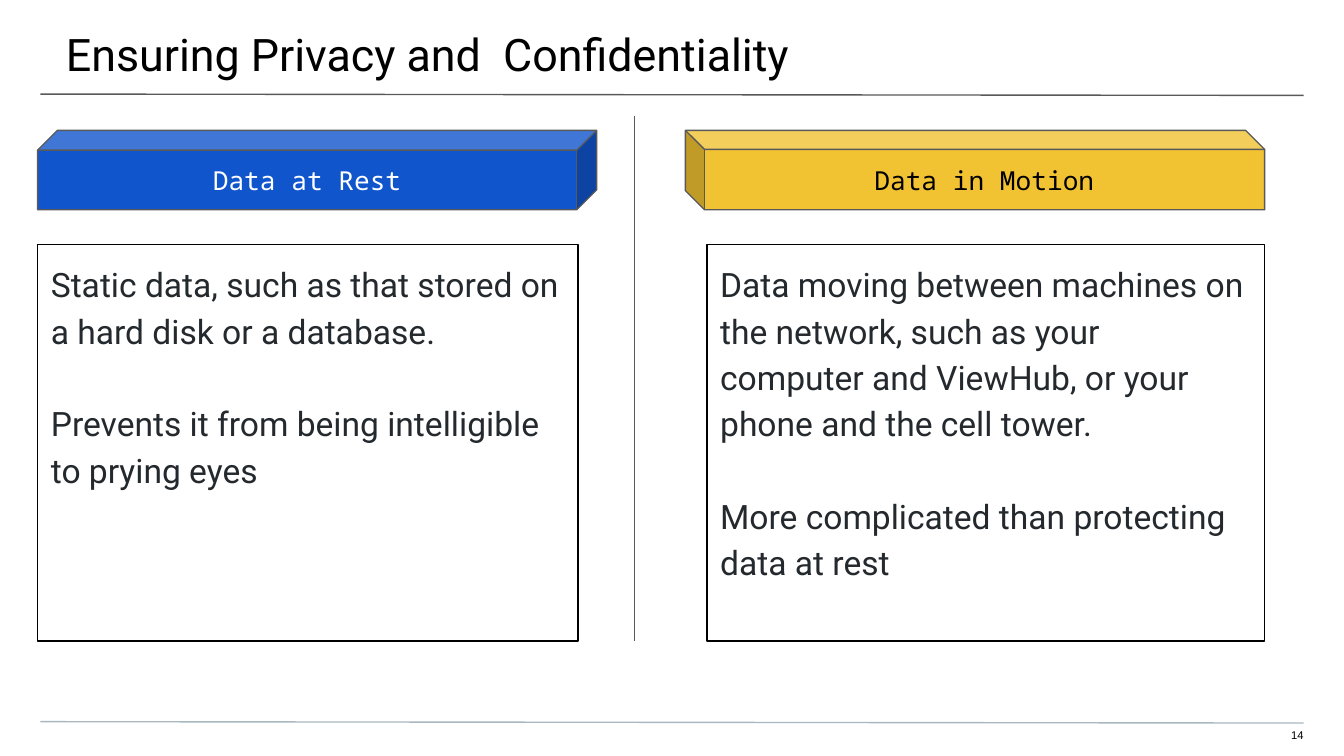
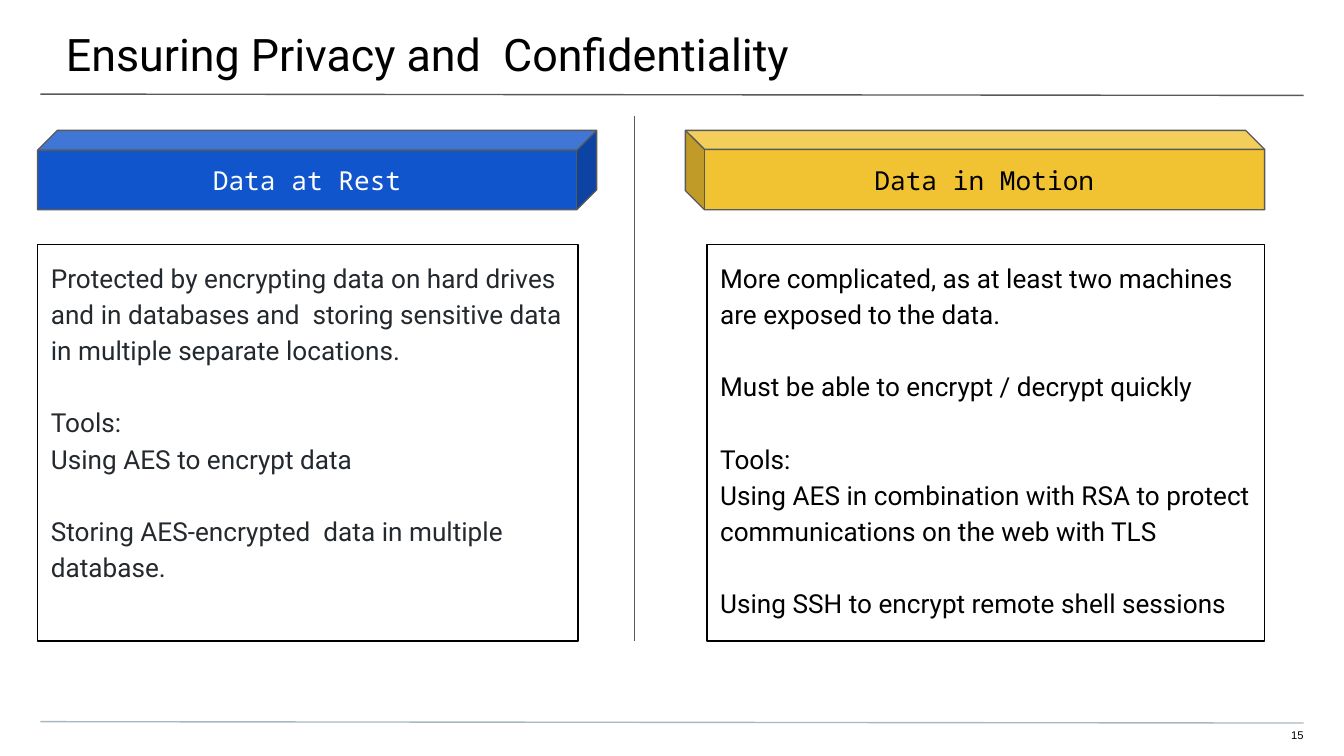
from dataclasses import dataclass

from lxml import etree
from pptx import Presentation
from pptx.dml.color import RGBColor
from pptx.enum.shapes import MSO_CONNECTOR, MSO_SHAPE
from pptx.enum.text import MSO_ANCHOR, MSO_AUTO_SIZE, PP_ALIGN
from pptx.oxml.ns import qn
from pptx.util import Inches, Pt

STRAIGHT = MSO_CONNECTOR.STRAIGHT
CUBE, RECTANGLE = MSO_SHAPE.CUBE, MSO_SHAPE.RECTANGLE
TOP, MIDDLE = MSO_ANCHOR.TOP, MSO_ANCHOR.MIDDLE
LEFT, CENTER, RIGHT = PP_ALIGN.LEFT, PP_ALIGN.CENTER, PP_ALIGN.RIGHT
NO_AUTOFIT = MSO_AUTO_SIZE.NONE

COLORS = {
    "black": "000000",
    "white": "FFFFFF",
    "ink": "24292E",
    "rule": "595959",
    "footer_rule": "A9B7C0",
    "rest": "1155CC",
    "motion": "F1C232",
}
TEXT_FONT, BANNER_FONT, NUMBER_FONT = "Roboto", "Noto Sans Mono", "Arial"
TITLE_ONLY_LAYOUT = 5
RULE_WIDTH = 0.75
LINE_SPACING = 1.15
BLANK_LINE = 1.38
FIRST_NUMBER = 14
TITLE = "Ensuring Privacy and  Confidentiality"
BANNER_TOP, BANNER_HEIGHT = 0.97, 0.59
BODY_TOP, BODY_HEIGHT = 1.82, 2.95


@dataclass
class Column:
    """A heading cube and the box below it, with their places across the slide."""

    heading: str
    fill: str
    text_color: str
    banner: tuple
    body: tuple
    depth: float
    flipped: bool


COLUMNS = [
    Column("Data at Rest", "rest", "white", (0.28, 4.16), (0.28, 4.02), 0.25, False),
    Column("Data in Motion", "motion", "black", (5.1, 4.31), (5.26, 4.15), 0.24, True),
]

# Each column holds a text colour and groups of lines; a gap separates the groups.
SLIDES = [
    (18, [
        ("ink", [
            ["Static data, such as that stored on a hard disk or a database."],
            ["Prevents it from being intelligible to prying eyes"],
        ]),
        ("ink", [
            ["Data moving between machines on the network, such as your computer "
             "and ViewHub, or your phone and the cell tower."],
            ["More complicated than protecting data at rest"],
        ]),
    ]),
    (14, [
        ("ink", [
            ["Protected by encrypting data on hard drives and in databases and  storing "
             "sensitive data in multiple separate locations."],
            ["Tools:", "Using AES to encrypt data"],
            ["Storing AES-encrypted  data in multiple database."],
        ]),
        ("black", [
            ["More complicated, as at least two machines are exposed to the data."],
            ["Must be able to encrypt / decrypt quickly"],
            ["Tools:", "Using AES in combination with RSA to protect communications "
             "on the web with TLS"],
            ["Using SSH to encrypt remote shell sessions"],
        ]),
    ]),
]


def color(name):
    """Return the named colour."""
    return RGBColor.from_string(COLORS[name])


def place(shape, left, top, width, height):
    """Move and size a shape, in inches."""
    shape.left, shape.top = Inches(left), Inches(top)
    shape.width, shape.height = Inches(width), Inches(height)


def prepare_frame(shape, insets, anchor):
    """Set the insets and anchor of a shape's text and return its frame."""
    frame = shape.text_frame
    frame.word_wrap = True
    frame.auto_size = NO_AUTOFIT
    frame.vertical_anchor = anchor
    (frame.margin_left, frame.margin_top,
     frame.margin_right, frame.margin_bottom) = map(Inches, insets)
    return frame


def format_paragraph(paragraph, text, font_name, size, color_name, alignment=LEFT):
    """Write and style one paragraph."""
    paragraph.text = text
    paragraph.alignment = alignment
    paragraph.font.name = font_name
    paragraph.font.size = Pt(size)
    paragraph.font.color.rgb = color(color_name)


def add_rule(slide, start, end, color_name):
    """Draw a thin straight line between two points."""
    rule = slide.shapes.add_connector(STRAIGHT, *map(Inches, start + end))
    rule.line.color.rgb = color(color_name)
    rule.line.width = Pt(RULE_WIDTH)
    etree.SubElement(rule.element.spPr, qn("a:effectLst"))


def add_outlined_shape(slide, kind, box, line_color):
    """Add a preset shape with a thin outline and no shadow."""
    shape = slide.shapes.add_shape(kind, *map(Inches, box))
    shape.shadow.inherit = False
    shape.line.color.rgb = color(line_color)
    shape.line.width = Pt(RULE_WIDTH)
    return shape


def add_frame(slide, number):
    """Add the title, rules and slide number that every slide shares."""
    add_rule(slide, (0.3, 0.7), (9.7, 0.71), "rule")
    add_rule(slide, (0.3, 5.37), (9.7, 5.38), "footer_rule")
    title = slide.shapes.title
    place(title, -0.01, 0, 10.03, 0.58)
    frame = prepare_frame(title, (0.5, 0.2, 0.3, 0.1), TOP)
    format_paragraph(frame.paragraphs[0], TITLE, TEXT_FONT, 24, "black")
    number_box = slide.shapes.add_textbox(*map(Inches, (9.41, 5.42, 0.29, 0.12)))
    frame = prepare_frame(number_box, (0, 0, 0, 0.1), TOP)
    format_paragraph(frame.paragraphs[0], str(number), NUMBER_FONT, 6, "black", RIGHT)


def add_banner(slide, column, box):
    """Add a column's heading cube."""
    cube = add_outlined_shape(slide, CUBE, box, "rule")
    cube.adjustments[0] = column.depth
    cube.fill.solid()
    cube.fill.fore_color.rgb = color(column.fill)
    if column.flipped:
        cube.element.spPr.find(qn("a:xfrm")).set("flipH", "1")
    frame = prepare_frame(cube, (0.1,) * 4, MIDDLE)
    format_paragraph(frame.paragraphs[0], column.heading, BANNER_FONT, 14,
                     column.text_color, CENTER)


def add_body(slide, groups, size, color_name, box):
    """Add an outlined box with groups of lines set one line apart."""
    body = add_outlined_shape(slide, RECTANGLE, box, "black")
    body.fill.background()
    frame = prepare_frame(body, (0.1,) * 4, TOP)
    for group_index, lines in enumerate(groups):
        for line_index, text in enumerate(lines):
            is_first = group_index == line_index == 0
            paragraph = frame.paragraphs[0] if is_first else frame.add_paragraph()
            format_paragraph(paragraph, text, TEXT_FONT, size, color_name)
            paragraph.line_spacing = LINE_SPACING
            if group_index and not line_index:
                paragraph.space_before = Pt(round(size * BLANK_LINE, 1))


def add_comparison_slide(presentation, number, size, bodies):
    """Add a slide that sets data at rest beside data in motion."""
    slide = presentation.slides.add_slide(presentation.slide_layouts[TITLE_ONLY_LAYOUT])
    add_frame(slide, number)
    add_rule(slide, (4.72, 0.86), (4.72, BODY_TOP + BODY_HEIGHT), "rule")
    for column, (color_name, groups) in zip(COLUMNS, bodies):
        banner_left, banner_width = column.banner
        body_left, body_width = column.body
        add_banner(slide, column, (banner_left, BANNER_TOP, banner_width, BANNER_HEIGHT))
        add_body(slide, groups, size, color_name,
                 (body_left, BODY_TOP, body_width, BODY_HEIGHT))


def main():
    """Build and save the presentation."""
    presentation = Presentation()
    presentation.slide_width = Inches(10)
    presentation.slide_height = presentation.slide_width * 9 // 16
    for number, (size, bodies) in enumerate(SLIDES, FIRST_NUMBER):
        add_comparison_slide(presentation, number, size, bodies)
    presentation.save("out.pptx")


if __name__ == "__main__":
    main()
